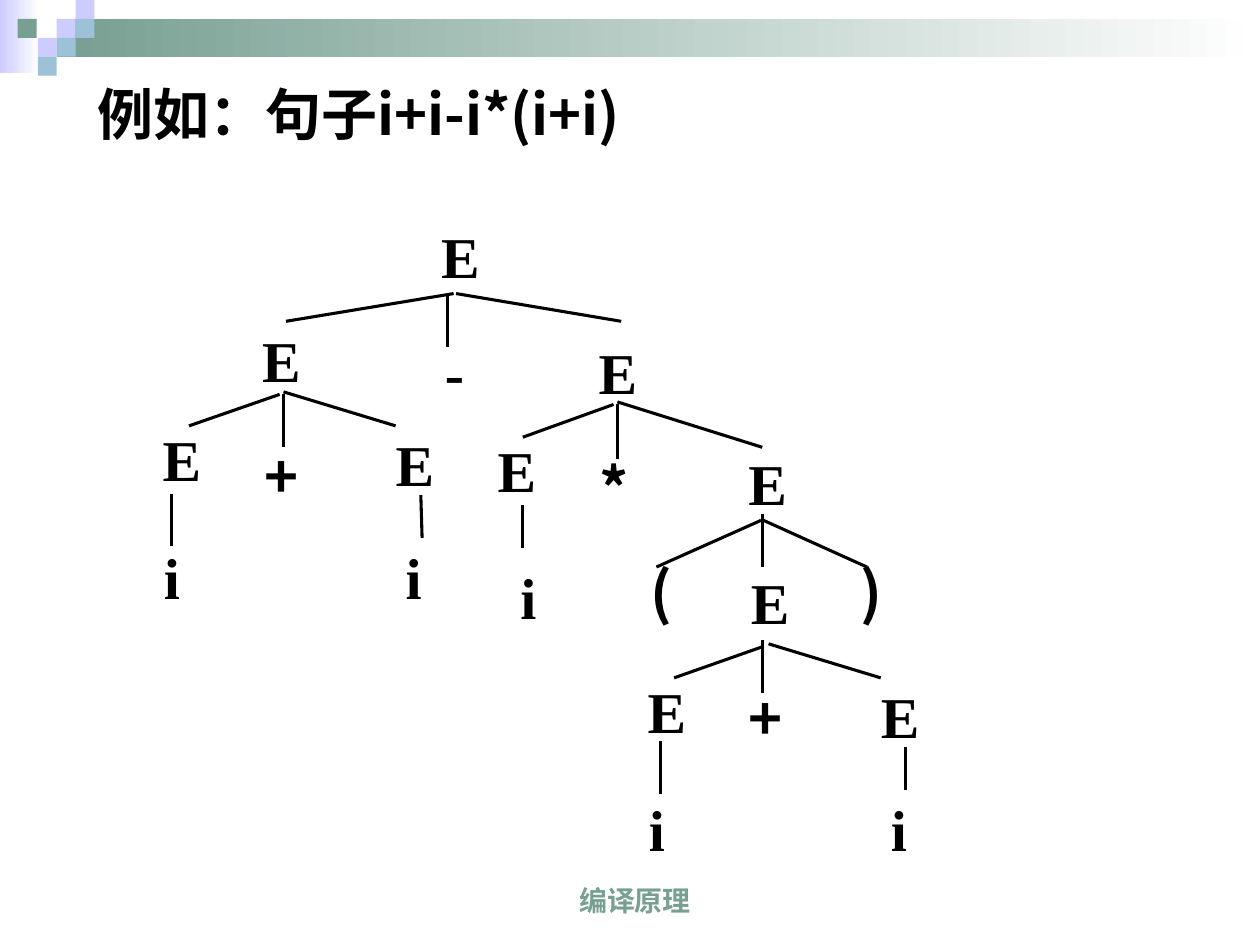
import pptx
import pptx.util
import pptx.dml.color
import pptx.enum.shapes
import pptx.enum.text
import pptx.oxml.ns
import lxml.etree

PX = 9144
BLACK = pptx.dml.color.RGBColor(0x00, 0x00, 0x00)
WHITE = pptx.dml.color.RGBColor(0xFF, 0xFF, 0xFF)
GREEN = pptx.dml.color.RGBColor(0x77, 0x9F, 0x92)
LILAC = pptx.dml.color.RGBColor(0xCC, 0xCC, 0xFF)
BLUE = pptx.dml.color.RGBColor(0x9D, 0xC2, 0xD7)
SERIF, SANS, ARIAL = "Times New Roman", "Noto Sans CJK SC", "Arial"

TITLE = "例如：句子i+i-i*(i+i)"
FOOTER = "编译原理"
BANDS = [((0, 0, 31, 58), LILAC), ((45, 15, 955, 30), GREEN)]
SQUARE = 15
SQUARES = [
    (45, 15, LILAC), (60, 0, LILAC), (60, 15, BLUE), (30, 30, LILAC),
    (14, 15, GREEN), (45, 30, BLUE), (30, 45, BLUE),
]
SYMBOL_HEIGHT = 55
SYMBOLS = {
    "E": (SERIF, 31, [(350, 175), (208, 258), (475, 267), (129, 336), (314, 340),
                      (395, 345), (594, 355), (596, 450), (514, 536), (699, 540)]),
    "i": (SERIF, 13, [(130, 430), (322, 430), (413, 446), (515, 630), (707, 630)]),
    "-": (SERIF, 15, [(353, 267)]),
    "+": (SANS, 26, [(210, 350), (594, 542)]),
    "*": (SANS, 25, [(476, 359)]),
    "(": (SANS, 16, [(516, 442)]),
    ")": (SANS, 16, [(683, 442)]),
}
BRANCHES = [
    (360, 233, 227, 255), (355, 233, 355, 275), (362, 233, 493, 255),
    (222, 313, 150, 338), (225, 313, 225, 355), (225, 311, 314, 338),
    (487, 321, 415, 347), (490, 321, 490, 364), (490, 319, 605, 355),
    (604, 413, 521, 450), (605, 408, 605, 450), (606, 413, 688, 450),
    (606, 513, 535, 538), (605, 508, 605, 550), (610, 511, 699, 538),
    (136, 392, 136, 433), (334, 393, 335, 427), (415, 401, 415, 435),
    (524, 588, 524, 630), (719, 593, 719, 627),
]


def scaled(lengths):
    return [length * PX for length in lengths]


def set_attributes(target, values):
    for name, value in values.items():
        setattr(target, name, value)


def write_text(shape, text, font_name, size, color, alignment, frame_values):
    set_attributes(shape.text_frame, frame_values)
    paragraph = shape.text_frame.paragraphs[0]
    paragraph.alignment = alignment
    run = paragraph.add_run()
    run.text = text
    set_attributes(run.font, {"name": font_name, "size": pptx.util.Pt(size), "bold": True})
    run.font.color.rgb = color
    east_asian = lxml.etree.SubElement(run.font._element, pptx.oxml.ns.qn("a:ea"))
    east_asian.set("typeface", SANS)


def add_block(slide, box):
    shape = slide.shapes.add_shape(pptx.enum.shapes.MSO_SHAPE.RECTANGLE, *scaled(box))
    shape.shadow.inherit = False
    shape.line.fill.background()
    return shape


def add_band(slide, box, color):
    fill = add_block(slide, box).fill
    fill.gradient()
    fill.gradient_angle = 0
    for stop, stop_color, position in zip(fill.gradient_stops, (color, WHITE), (0, 1)):
        stop.color.rgb = stop_color
        stop.position = position


def add_square(slide, left, top, color):
    fill = add_block(slide, (left, top, SQUARE, SQUARE)).fill
    fill.solid()
    fill.fore_color.rgb = color


def add_branch(slide, ends):
    connector = slide.shapes.add_connector(
        pptx.enum.shapes.MSO_CONNECTOR.STRAIGHT, *scaled(ends))
    connector.line.color.rgb = BLACK
    connector.line.width = pptx.util.Pt(1.75)
    properties = connector._element.spPr
    lxml.etree.SubElement(properties, pptx.oxml.ns.qn("a:effectLst"))


def main():
    align = pptx.enum.text.PP_ALIGN
    anchor = pptx.enum.text.MSO_ANCHOR
    auto_size = pptx.enum.text.MSO_AUTO_SIZE
    presentation = pptx.Presentation()
    presentation.slide_width, presentation.slide_height = scaled((1000, 750))
    slide = presentation.slides.add_slide(presentation.slide_layouts[5])

    for box, color in BANDS:
        add_band(slide, box, color)
    for left, top, color in SQUARES:
        add_square(slide, left, top, color)

    title = slide.shapes.title
    title_box = scaled((67, 58, 850, 83))
    set_attributes(title, dict(zip(("left", "top", "width", "height"), title_box)))
    write_text(title, TITLE, SANS, 32, BLACK, align.LEFT, {
        "word_wrap": True, "vertical_anchor": anchor.TOP, "auto_size": auto_size.NONE})

    footer = slide.shapes.add_textbox(*scaled((327, 683, 354, 50)))
    write_text(footer, FOOTER, ARIAL, 16, GREEN, align.CENTER, {
        "word_wrap": True, "vertical_anchor": anchor.BOTTOM})

    symbol_frame = dict.fromkeys(
        ("margin_left", "margin_top", "margin_right", "margin_bottom"), 0)
    symbol_frame.update(word_wrap=False, auto_size=auto_size.SHAPE_TO_FIT_TEXT)
    for symbol, (font_name, width, places) in SYMBOLS.items():
        for left, top in places:
            box = slide.shapes.add_textbox(*scaled((left, top, width, SYMBOL_HEIGHT)))
            write_text(box, symbol, font_name, 33, BLACK, align.LEFT, symbol_frame)
    for ends in BRANCHES:
        add_branch(slide, ends)

    presentation.save("out.pptx")


if __name__ == "__main__":
    main()
